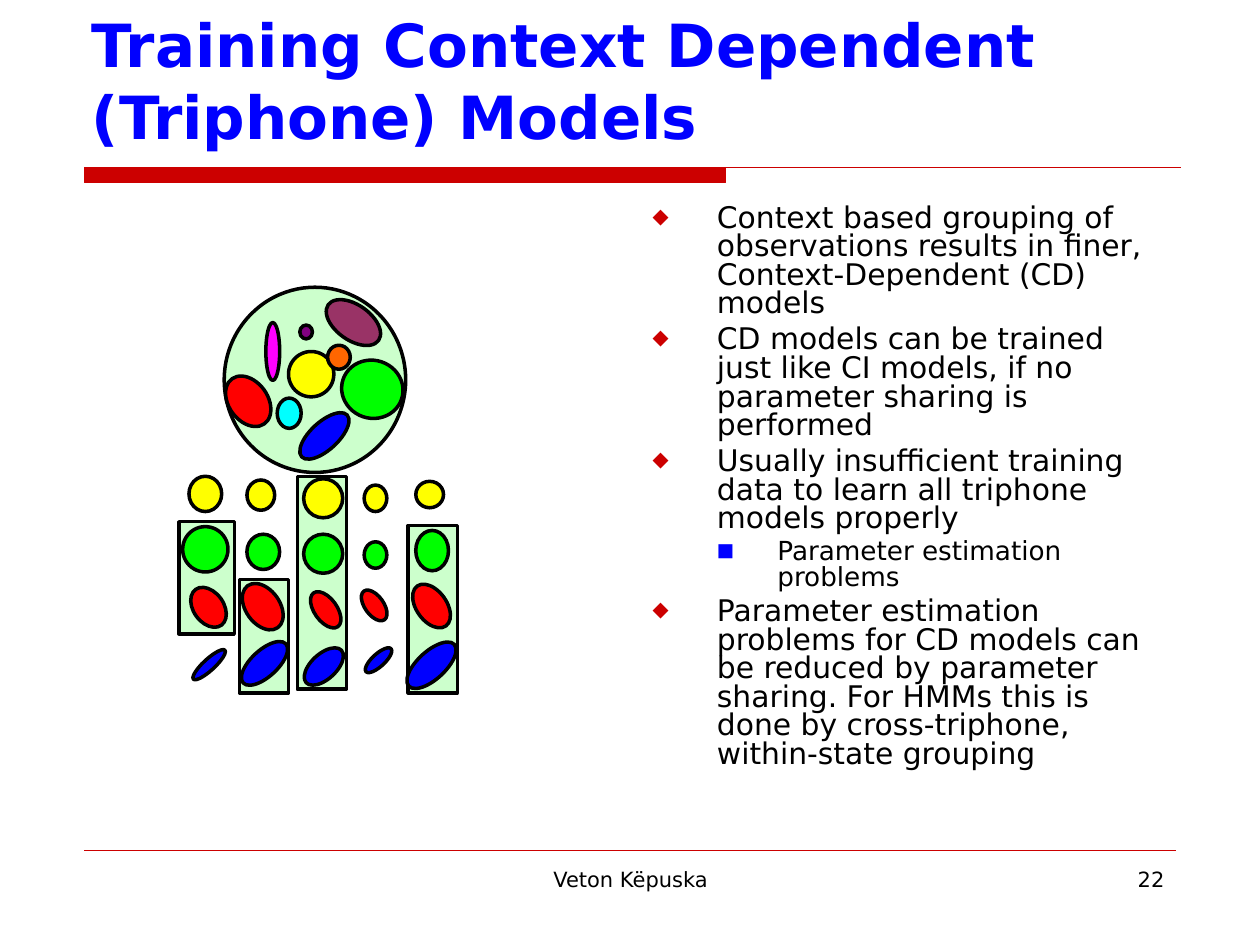
from lxml import etree
from pptx import Presentation
from pptx.dml.color import RGBColor
from pptx.enum.shapes import MSO_CONNECTOR, MSO_SHAPE
from pptx.enum.text import MSO_ANCHOR, MSO_AUTO_SIZE, PP_ALIGN
from pptx.oxml.ns import qn
from pptx.util import Pt

LEFT, CENTER, RIGHT = PP_ALIGN.LEFT, PP_ALIGN.CENTER, PP_ALIGN.RIGHT
TOP, BOTTOM = MSO_ANCHOR.TOP, MSO_ANCHOR.BOTTOM
RECT, OVAL = MSO_SHAPE.RECTANGLE, MSO_SHAPE.OVAL
STRAIGHT, FIXED = MSO_CONNECTOR.STRAIGHT, MSO_AUTO_SIZE.NONE

SCALE = 9144  # 100 px to the inch
FONT = "DejaVu Sans"
BLACK, CRIMSON, MINT = "000000", "CC0000", "CCFFCC"
YELLOW, GREEN, RED, BLUE = "FFFF00", "00FF00", "FF0000", "0000FF"
TILT, RISE = 54.3, 317.4

# Per level: size, left margin, hanging indent, space before, mark, mark colour
LEVELS = [
    (17, 51, 51, 4.2, "◆", CRIMSON),
    (15, 99, 48, 3.7, "■", BLUE),
]

POINTS = [
    (0, "Context based grouping of observations results in finer, "
        "Context-Dependent (CD) models"),
    (0, "CD models can be trained just like CI models, if no parameter "
        "sharing is performed"),
    (0, "Usually insufficient training data to learn all triphone models "
        "properly"),
    (1, "Parameter estimation problems"),
    (0, "Parameter estimation problems for CD models can be reduced by "
        "parameter sharing. For HMMs this is done by cross-triphone, "
        "within-state grouping"),
]

GROUPS = [(324, 417, 39, 133), (236, 378, 39, 169),
          (190, 460, 39, 90), (142, 414, 44, 89)]

POOL = [
    ((178, 228, 144, 147), MINT, 0),
    ((175, 303, 44, 31), RED, TILT),
    ((211, 256, 11, 46), "FF00FF", 0),
    ((229, 279, 36, 36), YELLOW, 0),
    ((271, 286, 49, 46), GREEN, 18.6),
    ((220, 316, 19, 24), "00FFFF", 0),
    ((256, 242, 49, 28), "993366", 35.3),
    ((233, 335, 49, 22), BLUE, RISE),
    ((238, 258, 10, 11), "800080", 0),
    ((260, 274, 18, 19), "FF6600", 0),
]

# One row per kind of sound, one oval per triphone
ROWS = [
    (YELLOW, 0, [(150, 378, 26, 28), (196, 381, 22, 24), (241, 380, 31, 31),
                 (289, 385, 18, 21), (330, 382, 22, 21)]),
    (GREEN, 0, [(145, 418, 36, 36), (196, 424, 26, 28), (241, 424, 31, 31),
                (289, 430, 18, 21), (330, 421, 26, 32)]),
    (RED, TILT, [(148, 470, 35, 24), (188, 468, 41, 27), (242, 475, 33, 18),
                 (283, 473, 28, 15), (323, 469, 39, 24)]),
    (BLUE, RISE, [(149, 523, 34, 9), (187, 516, 46, 21), (238, 519, 38, 20),
                  (287, 519, 27, 10), (318, 517, 49, 22)]),
]


def px(*nums):
    return [num * SCALE for num in nums]


def tint(code):
    return RGBColor.from_string(code)


def write(para, text, size=12, color=BLACK, bold=False, align=LEFT):
    para.alignment = align
    run = para.add_run()
    run.text = text
    font = run.font
    font.name, font.size, font.bold = FONT, Pt(size), bold
    font.color.rgb = tint(color)


def mark(para, level):
    """Give a paragraph the indent, spacing and bullet of its level."""
    _, left, hang, _, char, color = LEVELS[level]
    props = para._p.get_or_add_pPr()
    props.set("marL", str(left * SCALE))
    props.set("indent", str(-hang * SCALE))
    hue = etree.SubElement(props, qn("a:buClr"))
    etree.SubElement(hue, qn("a:srgbClr"), val=color)
    etree.SubElement(props, qn("a:buSzPct"), val="70000")
    etree.SubElement(props, qn("a:buFont"), typeface=FONT)
    etree.SubElement(props, qn("a:buChar"), char=char)
    para.level = level
    para.line_spacing = 0.8


class Page:
    """The current slide and the style of what is drawn on it."""

    def __init__(self, deck):
        self.slide = deck.slides.add_slide(deck.slide_layouts[1])
        self.shapes = self.slide.shapes

    def holder(self, index, box, anchor):
        """Move a placeholder into the box and return its text frame."""
        shape = self.slide.placeholders[index]
        shape.left, shape.top, shape.width, shape.height = px(*box)
        frame = shape.text_frame
        frame.word_wrap, frame.auto_size = True, FIXED
        frame.vertical_anchor = anchor
        return frame

    def title(self, text, box):
        frame = self.holder(0, box, BOTTOM)
        write(frame.paragraphs[0], text, size=34, color=BLUE, bold=True)

    def list(self, items, box):
        frame = self.holder(1, box, TOP)
        for num, (level, text) in enumerate(items):
            para = frame.add_paragraph() if num else frame.paragraphs[0]
            mark(para, level)
            size, gap = LEVELS[level][0], LEVELS[level][3]
            para.space_before = Pt(gap if num else 0)
            write(para, text, size=size)

    def label(self, text, box, align):
        frame = self.shapes.add_textbox(*px(*box)).text_frame
        frame.word_wrap = True
        write(frame.paragraphs[0], text, align=align)

    def paint(self, shape, fill, line, width):
        shape.shadow.inherit = False
        shape.fill.solid()
        shape.fill.fore_color.rgb = tint(fill)
        shape.line.color.rgb = tint(line)
        shape.line.width = Pt(width)

    def shape(self, kind, box, fill, turn=0):
        shape = self.shapes.add_shape(kind, *px(*box))
        shape.rotation = turn
        self.paint(shape, fill, BLACK, 2)

    def bar(self, left, top, mid, right, base):
        """Draw a thick bar whose top edge runs on as a thin rule."""
        pen = self.shapes.build_freeform(left, top, SCALE)
        pen.add_line_segments([(mid, top), (mid, base), (left, base)])
        pen.move_to(left, top)
        pen.add_line_segments([(right, top)], close=False)
        self.paint(pen.convert_to_shape(), CRIMSON, CRIMSON, 0.75)

    def rule(self, left, right, y):
        line = self.shapes.add_connector(STRAIGHT, *px(left, y, right, y))
        line.line.color.rgb = tint(CRIMSON)
        line.line.width = Pt(0.25)
        etree.SubElement(line._element.spPr, qn("a:effectLst"))


def main():
    deck = Presentation()
    deck.slide_width, deck.slide_height = px(1000, 750)
    page = Page(deck)
    page.bar(67, 133, 576, 937, 145)
    page.rule(67, 933, 675)
    page.label("Veton Këpuska", (342, 683, 317, 52), CENTER)
    page.label("22", (717, 683, 217, 52), RIGHT)
    page.title("Training Context Dependent (Triphone) Models",
               (63, 33, 875, 92))
    page.list(POINTS, (508, 158, 429, 500))
    for box in GROUPS:
        page.shape(RECT, box, MINT)
    for box, fill, turn in POOL:
        page.shape(OVAL, box, fill, turn)
    for fill, turn, boxes in ROWS:
        for box in boxes:
            page.shape(OVAL, box, fill, turn)
    deck.save("out.pptx")


if __name__ == "__main__":
    main()
